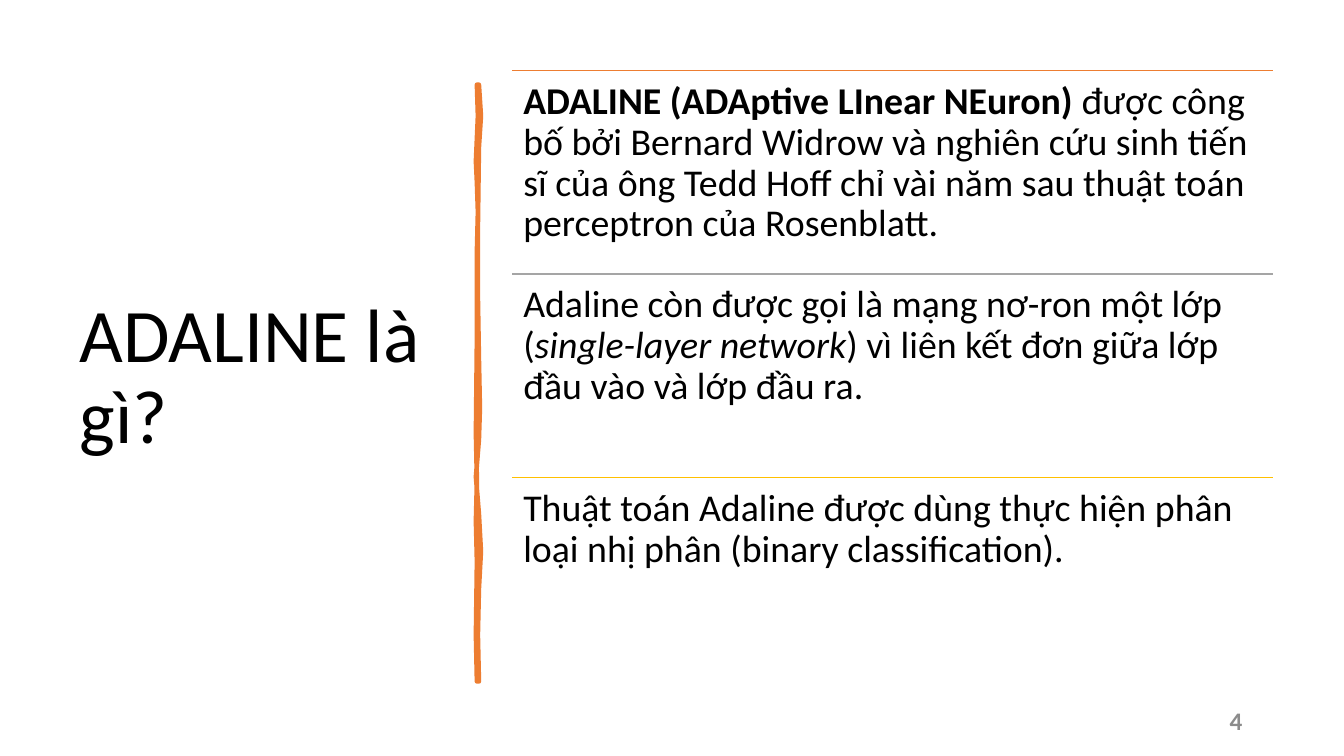
from pptx import Presentation
from pptx.dml.color import RGBColor
from pptx.enum import shapes, text
from pptx.oxml.ns import qn
from pptx.util import Inches, Pt
from lxml import etree

INK = {"text": "000000", "page": "8C8C8C", "bar": "ED7D31"}
FONT = "Calibri"
TITLE = "ADALINE là gì?"
PAGE = "4"

# Rule colour, then runs of (words, style)
ROWS = [
    ("ED7D31", [
        ("ADALINE (ADAptive LInear NEuron) ", "bold"),
        ("được công bố bởi Bernard Widrow và nghiên cứu sinh tiến sĩ của ông "
         "Tedd Hoff chỉ vài năm sau thuật toán perceptron của Rosenblatt.", ""),
    ]),
    ("A5A5A5", [
        ("Adaline còn được gọi là mạng nơ-ron một lớp (", ""),
        ("single-layer network", "italic"),
        (") vì liên kết đơn giữa lớp đầu vào và lớp đầu ra.", ""),
    ]),
    ("FFC000", [
        ("Thuật toán Adaline được dùng thực hiện phân loại nhị phân "
         "(binary classification).", ""),
    ]),
]
LEFT, TOP, WIDE, STEP = 5.08, 0.7, 7.55, 2.02

# Outline of the hand-drawn bar, down the right edge and up the left
BAR = [
    (4.75, 0.84), (4.77, 1.15), (4.75, 1.46), (4.74, 2.26), (4.74, 2.94),
    (4.75, 3.56), (4.76, 4.05), (4.75, 4.36), (4.72, 4.73), (4.75, 5.1),
    (4.77, 5.47), (4.75, 5.84), (4.74, 6.3), (4.75, 6.76),
    (4.73, 6.76), (4.72, 6.3), (4.73, 5.57), (4.72, 5.17), (4.73, 4.77),
    (4.72, 4.3), (4.73, 3.35), (4.73, 2.5), (4.74, 2.1), (4.73, 1.81),
    (4.72, 1.6), (4.74, 1.15), (4.73, 0.84),
]


def rgb(code):
    return RGBColor.from_string(code)


def add_bar(slide):
    pts = [(Inches(x), Inches(y)) for x, y in BAR]
    pen = slide.shapes.build_freeform(*pts[0])
    pen.add_line_segments(pts[1:], close=True)
    bar = pen.convert_to_shape()
    bar.shadow.inherit = False
    bar.fill.solid()
    bar.fill.fore_color.rgb = rgb(INK["bar"])
    bar.line.color.rgb = rgb(INK["bar"])
    bar.line.width = Pt(3.25)


def add_rule(home, y, code):
    rule = home.shapes.add_connector(
        shapes.MSO_CONNECTOR.STRAIGHT,
        Inches(LEFT), Inches(y), Inches(LEFT + WIDE), Inches(y))
    rule.line.color.rgb = rgb(code)
    rule.line.width = Pt(1)
    etree.SubElement(rule._element.spPr, qn("a:effectLst"))


def add_text(home, box, runs, size, code=INK["text"], mid=False, pad=None):
    """Put a one-paragraph text box on a slide or in a group."""
    frame = home.shapes.add_textbox(*map(Inches, box)).text_frame
    frame.word_wrap = True
    if mid:
        frame.vertical_anchor = text.MSO_ANCHOR.MIDDLE
    if pad:
        frame.margin_left = frame.margin_right = Inches(pad)
        frame.margin_top = frame.margin_bottom = Inches(pad)
    para = frame.paragraphs[0]
    for words, style in runs:
        run = para.add_run()
        run.text = words
        run.font.name = FONT
        run.font.size = Pt(size)
        run.font.color.rgb = rgb(code)
        run.font.bold = style == "bold"
        run.font.italic = style == "italic"
    return para


def main():
    deck = Presentation()
    deck.slide_width, deck.slide_height = Inches(13.33), Inches(7.5)
    slide = deck.slides.add_slide(deck.slide_layouts[6])

    title = add_text(slide, (0.69, 0.7, 3.74, 6.11), [(TITLE, "")], 54, mid=True)
    title.line_spacing = 0.9
    add_bar(slide)

    group = slide.shapes.add_group_shape()
    for i, (code, runs) in enumerate(ROWS):
        y = TOP + i * STEP
        add_rule(group, y, code)
        para = add_text(group, (LEFT, y, WIDE, STEP), runs, 27, pad=0.11)
        para.line_spacing = 0.9

    page = add_text(slide, (9.42, 6.95, 3, 0.4), [(PAGE, "bold")], 18,
                    INK["page"], mid=True)
    page.alignment = text.PP_ALIGN.RIGHT
    deck.save("out.pptx")


if __name__ == "__main__":
    main()
